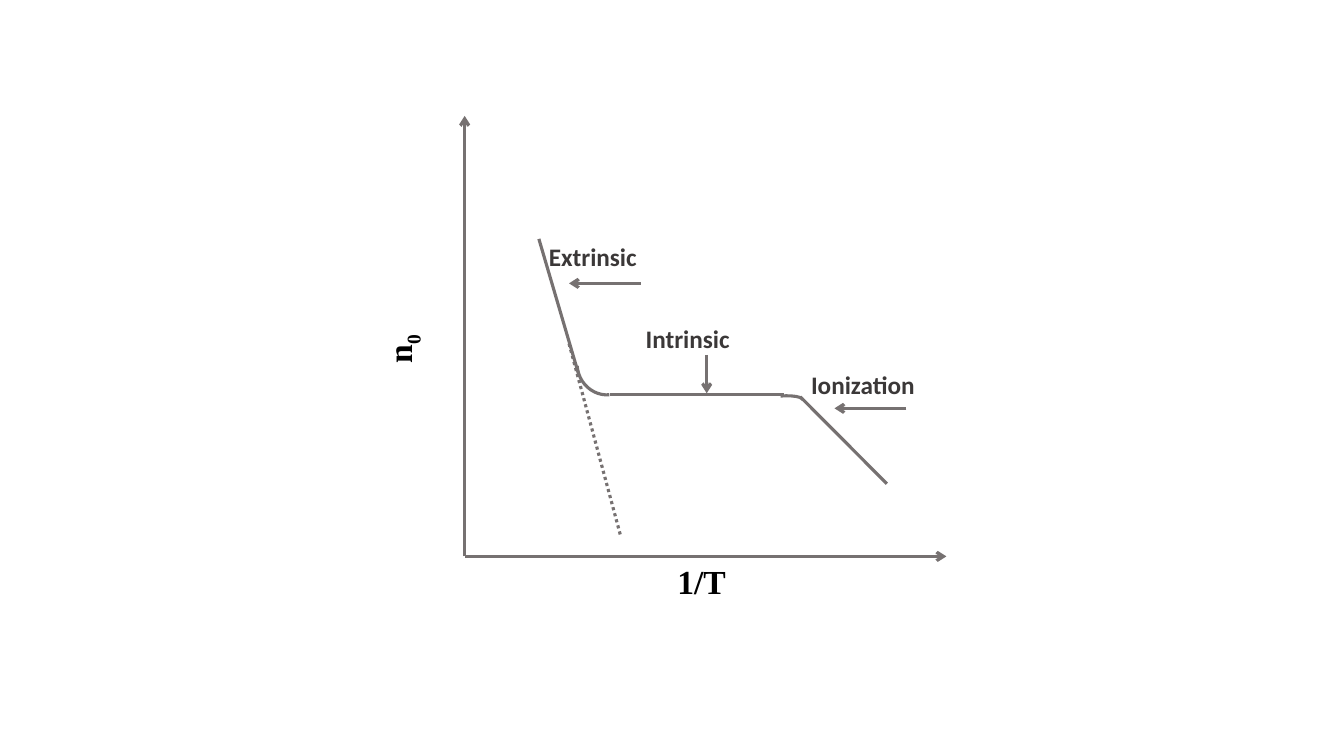
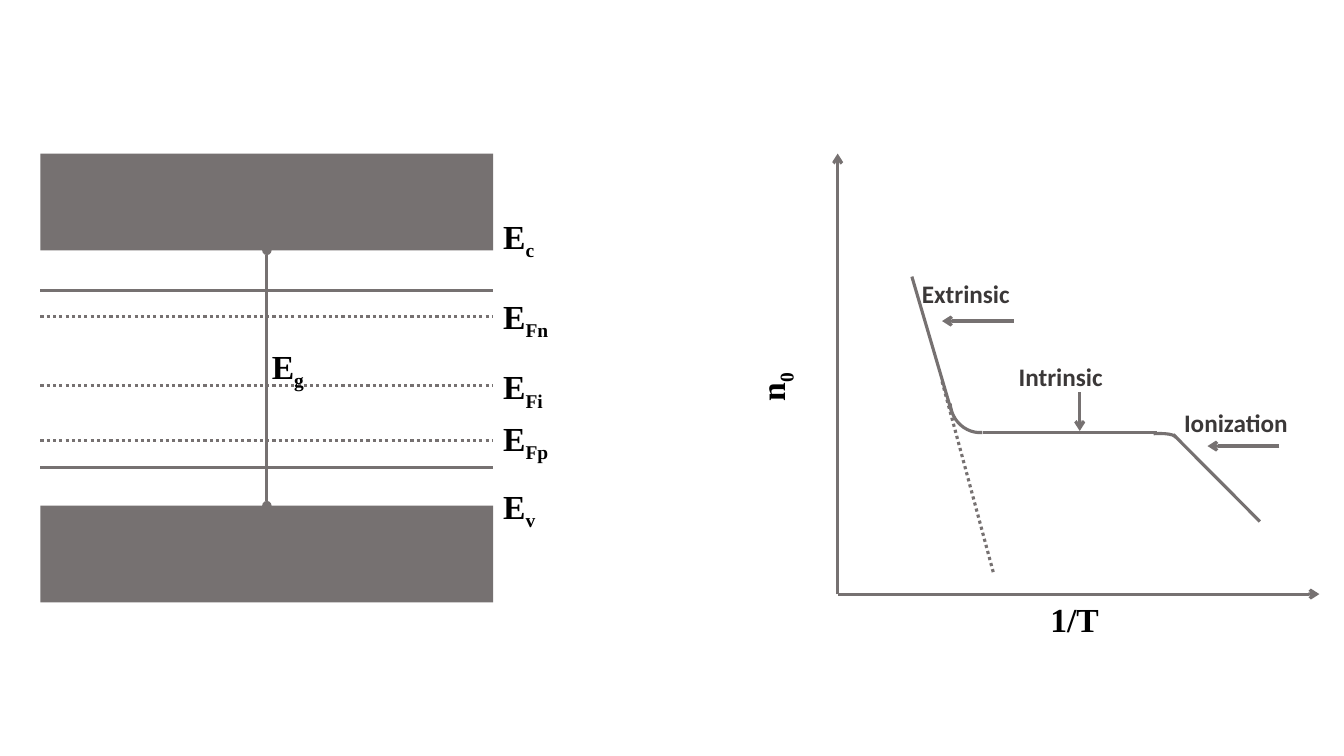
from typing import NamedTuple

from pptx import Presentation
from pptx.dml.color import RGBColor
from pptx.enum import dml, shapes, text
from pptx.oxml.ns import qn
from pptx.util import Cm, Pt
from lxml import etree

GREY = RGBColor(0x76, 0x71, 0x71)
DARK = RGBColor(0x3B, 0x38, 0x38)
BLACK = RGBColor(0, 0, 0)
LINE_WIDTH = Pt(2.25)


class Point(NamedTuple):
    x: float
    y: float


class Line(NamedTuple):
    start: Point
    end: Point
    dotted: bool = False
    tip: str = ""


class Arc(NamedTuple):
    corner: Point
    width: float
    height: float
    rotation: float


class TextStyle(NamedTuple):
    font: str
    size: int
    color: RGBColor


class Label(NamedTuple):
    corner: Point
    width: float
    height: float
    words: str
    subscript: str = ""
    rotation: float = 0


SYMBOL = TextStyle("Times New Roman", 24, BLACK)
REGION = TextStyle("Calibri", 18, DARK)

# Concentration plot, in cm from the origin of its axes
PLOT_LINES = [
    Line(Point(0, 0), Point(0, -11.1), tip="arrow"),
    Line(Point(0, 0), Point(12.14, 0), tip="arrow"),
    Line(Point(2.63, -5.36), Point(3.94, -0.48), dotted=True),
    Line(Point(1.87, -8), Point(2.87, -4.6)),
    Line(Point(3.65, -4.07), Point(8.04, -4.07)),
    Line(Point(8.46, -4.02), Point(10.64, -1.83)),
    Line(Point(4.44, -6.88), Point(2.63, -6.88), tip="arrow"),
    Line(Point(6.1, -5.08), Point(6.1, -4.11), tip="arrow"),
    Line(Point(11.13, -3.73), Point(9.32, -3.73), tip="arrow"),
]
PLOT_ARCS = [
    Arc(Point(2.83, -5.65), 1.5, 1.58, 175.5),
    Arc(Point(7.43, -4.04), 1.09, 0.28, 355.5),
]
AXIS_LABELS = [
    Label(Point(-2.79, -6.76), 2.64, 1.65, "n", "0", 270),
    Label(Point(5.11, 0), 4.09, 1.5, "1/T"),
]
REGION_LABELS = [
    Label(Point(1.87, -8.07), 3.58, 1.19, "Extrinsic"),
    Label(Point(4.31, -5.99), 3.58, 1.19, "Intrinsic"),
    Label(Point(8.48, -4.84), 3.58, 1.19, "Ionization"),
]

# Band diagram, in cm from the slide corner
BAND_LEFT, BAND_WIDTH, BAND_HEIGHT = 1.02, 11.41, 2.44
BAND_RIGHT = BAND_LEFT + BAND_WIDTH
CONDUCTION_TOP, VALENCE_TOP = 3.87, 12.74
SOLID_LEVELS = [7.32, 11.78]
DOTTED_LEVELS = [7.98, 9.72, 11.1]
LEVEL_LABELS = [("c", 5.31), ("Fn", 7.32), ("Fi", 9.1), ("Fp", 10.4), ("v", 12.12)]


def add_line(group, line: Line, origin: Point = Point(0, 0)):
    ends = [Cm(v) for p in (line.start, line.end) for v in (origin.x + p.x, origin.y + p.y)]
    cxn = group.shapes.add_connector(shapes.MSO_CONNECTOR.STRAIGHT, *ends)
    cxn.line.color.rgb = GREY
    cxn.line.width = LINE_WIDTH
    if line.dotted:
        cxn.line.dash_style = dml.MSO_LINE.ROUND_DOT
    if line.tip:
        add_tip(cxn, "a:tailEnd", line.tip)
    etree.SubElement(cxn._element.spPr, qn("a:effectLst"))
    return cxn


def add_tip(cxn, tag: str, kind: str) -> None:
    ln = cxn._element.spPr.find(qn("a:ln"))
    etree.SubElement(ln, qn(tag), type=kind)


def add_arc(group, arc: Arc, origin: Point) -> None:
    sp = group.shapes.add_shape(
        shapes.MSO_SHAPE.ARC, Cm(origin.x + arc.corner.x), Cm(origin.y + arc.corner.y),
        Cm(arc.width), Cm(arc.height))
    sp.rotation = arc.rotation
    sp.shadow.inherit = False
    sp.fill.background()
    sp.line.color.rgb = GREY
    sp.line.width = LINE_WIDTH


def add_label(group, label: Label, style: TextStyle, origin: Point = Point(0, 0)) -> None:
    sp = group.shapes.add_textbox(
        Cm(origin.x + label.corner.x), Cm(origin.y + label.corner.y),
        Cm(label.width), Cm(label.height))
    sp.rotation = label.rotation
    tf = sp.text_frame
    tf.word_wrap = True
    tf.auto_size = text.MSO_AUTO_SIZE.SHAPE_TO_FIT_TEXT
    tf.text = label.words
    p = tf.paragraphs[0]
    if label.subscript:
        r = p.add_run()
        r.text = label.subscript
        r._r.get_or_add_rPr().set("baseline", "-25000")
    for r in p.runs:
        r.font.name = style.font
        r.font.size = Pt(style.size)
        r.font.bold = True
        r.font.color.rgb = style.color


def add_band(group, top: float):
    sp = group.shapes.add_shape(
        shapes.MSO_SHAPE.RECTANGLE, Cm(BAND_LEFT), Cm(top), Cm(BAND_WIDTH), Cm(BAND_HEIGHT))
    sp.shadow.inherit = False
    sp.fill.solid()
    sp.fill.fore_color.rgb = GREY
    sp.line.fill.background()
    return sp


def draw_plot(slide, origin: Point) -> None:
    """Draw carrier concentration against 1/T."""
    group = slide.shapes.add_group_shape()
    for line in PLOT_LINES:
        add_line(group, line, origin)
    for arc in PLOT_ARCS:
        add_arc(group, arc, origin)
    for labels, style in ((AXIS_LABELS, SYMBOL), (REGION_LABELS, REGION)):
        for label in labels:
            add_label(group, label, style, origin)


def draw_bands(slide) -> None:
    """Draw both bands, the levels between them and the gap."""
    group = slide.shapes.add_group_shape()
    conduction = add_band(group, CONDUCTION_TOP)
    valence = add_band(group, VALENCE_TOP)
    for levels, dotted in ((SOLID_LEVELS, False), (DOTTED_LEVELS, True)):
        for y in levels:
            add_line(group, Line(Point(BAND_LEFT, y), Point(BAND_RIGHT, y), dotted))

    middle = BAND_LEFT + BAND_WIDTH / 2
    gap = add_line(group, Line(Point(middle, VALENCE_TOP),
                               Point(middle, CONDUCTION_TOP + BAND_HEIGHT)))
    gap.begin_connect(valence, 0)
    gap.end_connect(conduction, 2)
    for tag in ("a:headEnd", "a:tailEnd"):
        add_tip(gap, tag, "oval")

    for subscript, y in LEVEL_LABELS:
        add_label(group, Label(Point(BAND_RIGHT, y), 1.96, 1.24, "E", subscript), SYMBOL)
    add_label(group, Label(Point(6.6, 8.58), 1.4, 1.24, "E", "g"), SYMBOL)


def main() -> None:
    prs = Presentation()
    prs.slide_width, prs.slide_height = Cm(33.87), Cm(19.05)
    blank = prs.slide_layouts[6]

    draw_plot(prs.slides.add_slide(blank), Point(11.71, 14.02))

    slide = prs.slides.add_slide(blank)
    draw_bands(slide)
    draw_plot(slide, Point(21.11, 14.97))

    prs.save("out.pptx")


if __name__ == "__main__":
    main()
